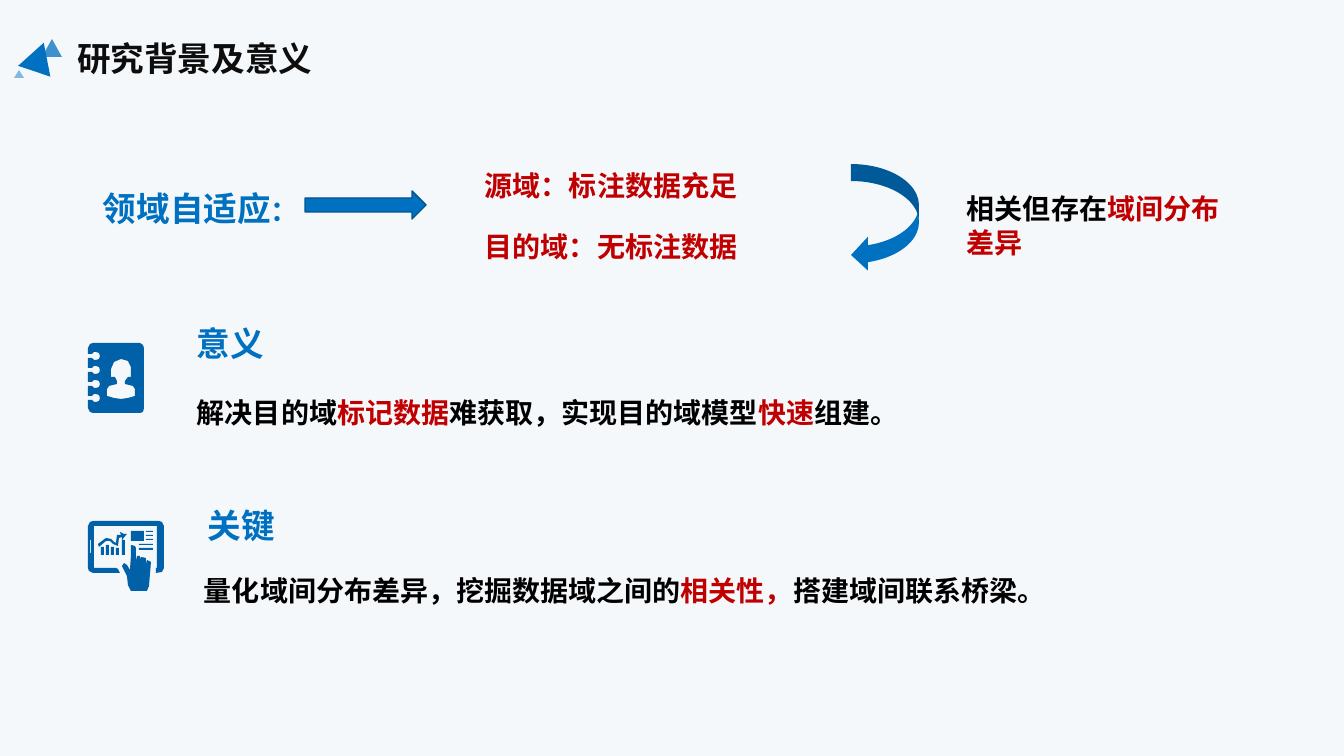
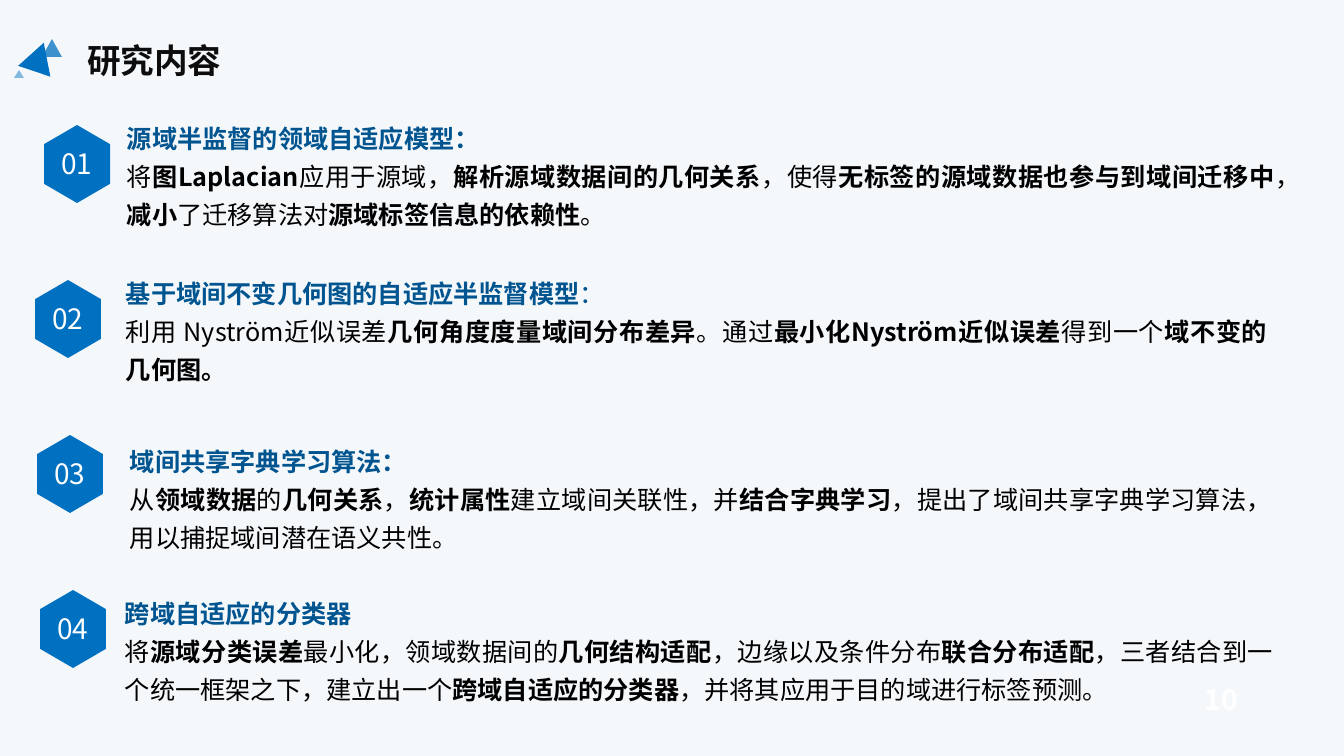
from pptx import Presentation
from pptx.dml.color import RGBColor as RGB
from pptx.enum.lang import MSO_LANGUAGE_ID as LANG
from pptx.enum.shapes import MSO_SHAPE as KIND
from pptx.enum.text import MSO_ANCHOR as ANCHOR, PP_ALIGN as ALIGN
from pptx.oxml.ns import qn
from pptx.util import Pt
from lxml import etree

PX = 914400 / 100.8
FONT = "Noto Sans CJK SC"
PAPER = RGB(0xF5, 0xF8, 0xFB)
BLUE = RGB(0x00, 0x70, 0xC0)
NAVY = RGB(0x00, 0x54, 0x90)
EDGE = RGB(0x00, 0x53, 0x8E)
ICON = RGB(0x00, 0x60, 0xA8)
RED = RGB(0xC0, 0x00, 0x00)
INK = RGB(0x0D, 0x0D, 0x0D)
BLACK = RGB(0x00, 0x00, 0x00)
WHITE = RGB(0xFF, 0xFF, 0xFF)


def text(box, words, size=20, color=BLACK, bold=True, align=ALIGN.LEFT,
         lead=1.0, gap=0, indent=0, wrap=True, em=None):
    """Add a paragraph; the parts between asterisks take the format em."""
    frame = box.text_frame
    frame.word_wrap = wrap
    para = frame.add_paragraph() if frame.text else frame.paragraphs[0]
    para.alignment, para.line_spacing = align, lead
    para.space_before = Pt(gap)
    if indent:
        para._p.get_or_add_pPr().set("indent", str(round(indent * PX)))
    base = {"size": size, "color": color, "bold": bold}
    for i, part in enumerate(words.split("*")):
        if not part:
            continue
        look = {**base, **(em or {})} if i % 2 else base
        run = para.add_run()
        run.text = part
        font = run.font
        font.size, font.bold, font.name = Pt(look["size"]), look["bold"], FONT
        font.color.rgb = look["color"]
        font.language_id = LANG.SIMPLIFIED_CHINESE
        etree.SubElement(run._r.rPr, qn("a:ea")).set("typeface", FONT)


def draw(slide, kind, at, fill=BLUE):
    """Add a flat preset shape, or a text box when kind is None."""
    at = [round(v * PX) for v in at]
    if kind is None:
        return slide.shapes.add_textbox(*at)
    item = slide.shapes.add_shape(kind, *at)
    item.shadow.inherit = False
    item.fill.solid()
    item.fill.fore_color.rgb = fill
    item.line.fill.background()
    return item


deck = Presentation()
deck.slide_width, deck.slide_height = round(1344 * PX), round(756 * PX)
back = deck.slide_master.background.fill
back.solid()
back.fore_color.rgb = PAPER

# Title and triangle mark on each slide
marks = [((42, 39, 20, 18), 0, 75), ((22, 42, 34, 30), 18.5, 100),
         ((14, 70, 10, 8), 0, 47)]
slides = []
for name, x, y in [("研究背景及意义", 67, 33), ("研究内容", 77, 35)]:
    slide = deck.slides.add_slide(deck.slide_layouts[5])
    slides.append(slide)
    title = slide.shapes.title
    title.left, title.top, title.width, title.height = (
        round(v * PX) for v in (x, y, 333, 50))
    title.text_frame.vertical_anchor = ANCHOR.TOP
    text(title, name, size=24, color=INK)
    for at, turn, alpha in marks:
        mark = draw(slide, KIND.ISOSCELES_TRIANGLE, at)
        mark.rotation = turn
        if alpha < 100:
            tone = mark._element.spPr.find(".//" + qn("a:srgbClr"))
            etree.SubElement(tone, qn("a:alpha")).set("val", str(alpha * 1000))
first, second = slides

# Slide 1: domains and the arrows between them
pair = draw(first, None, (425, 155, 502, 112))
text(pair, "源域：标注数据充足", color=RED, lead=1.25, indent=50)
text(pair, "目的域：无标注数据", color=RED, lead=1.25, indent=50, gap=14)
arrow = draw(first, KIND.RIGHT_ARROW, (305, 191, 121, 28))
arrow.line.color.rgb = EDGE
arrow.line.width = Pt(1)
draw(first, KIND.CURVED_LEFT_ARROW, (851, 164, 68, 108))
note = draw(first, None, (957, 187, 276, 78))
text(note, "相关但存在*域间分布差异*", em={"color": RED})

# Slide 1: blue headings
heads = [("领域自适应*：*", (93, 183, 220, 50), ALIGN.LEFT),
         ("意义", (170, 318, 104, 50), ALIGN.RIGHT),
         ("关键", (181, 500, 104, 50), ALIGN.RIGHT)]
for words, at, side in heads:
    text(draw(first, None, at), words, size=24, color=BLUE, align=side,
         wrap=False, em={"size": 20})

# Slide 1: statements
facts = [("解决目的域*标记数据*难获取，实现目的域模型*快速*组建。",
          (137, 382, 820, 48)),
         ("量化域间分布差异，挖掘数据域之间的*相关性，*搭建域间联系桥梁。",
          (144, 560, 917, 48))]
for words, at in facts:
    text(draw(first, None, at), words, lead=1.25, indent=50, em={"color": RED})

# Notebook icon: body with ring holes, then the person cut out
book = [(2, 1), (5, 0), (52, 0), (55, 2), (56, 5), (56, 65), (55, 69),
        (52, 70), (5, 70), (2, 69), (0, 65)]
for y in range(55, 0, -14):
    book += [(0, y + 2), (4, y + 2), (6, y + 4), (8, y + 4), (11, y + 3),
             (12, y), (11, y - 3), (8, y - 4), (6, y - 4), (4, y - 2),
             (0, y - 2)]
book.append((0, 5))
man = [(40, 34), (43, 34), (43, 24), (40, 18), (33, 16), (26, 19), (23, 26),
       (23, 34), (27, 34), (29, 38), (29, 41), (21, 43), (19, 46), (19, 53),
       (26, 55), (33, 56), (40, 55), (47, 53), (47, 46), (45, 43), (37, 41),
       (37, 38)]

# Tablet icon: frame, trend line, hand and small bars
frame = [(2, 1), (5, 0), (71, 0), (74, 1), (76, 5), (76, 47), (74, 51),
         (68, 52), (68, 47), (69, 47), (69, 5), (6, 5), (6, 47), (28, 47),
         (30, 48), (32, 52), (5, 52), (1, 50), (0, 47), (0, 5)]
trend = [(10, 23), (11, 26), (18, 20), (22, 20), (25, 23), (30, 25), (31, 17),
         (34, 16), (34, 19), (39, 13), (36, 13), (32, 11), (33, 14), (29, 14),
         (28, 22), (26, 21), (23, 18), (18, 17)]
hand = [(48, 40), (48, 27), (47, 25), (43, 24), (43, 34), (42, 49), (39, 44),
        (36, 42), (34, 45), (39, 55), (40, 64), (43, 70), (59, 70), (61, 65),
        (63, 41), (59, 39), (58, 43), (58, 37), (53, 36), (52, 38), (52, 35),
        (49, 35)]
bars = [(51, 27, 14, 2), (51, 23, 14, 1), (43, 10, 13, 10), (2, 19, 1, 13)]
bars += [(58, y, 7, 1) for y in (10, 14, 18)]
bars += [(x, y, 3, 34 - y)
         for x, y in [(13, 26), (18, 24), (23, 26), (28, 27), (34, 19)]]
pad = [frame, trend, hand]
pad += [[(x, y), (x + w, y), (x + w, y + h), (x, y + h)]
        for x, y, w, h in bars]

for x, y, rings in [(88, 343, [book, man]), (88, 521, pad)]:
    pen = None
    for ring in rings:
        if pen is None:
            pen = first.shapes.build_freeform(*ring[0], scale=PX)
        else:
            pen.move_to(*ring[0])
        pen.add_line_segments(ring[1:], close=True)
    icon = pen.convert_to_shape(round(x * PX), round(y * PX))
    icon.shadow.inherit = False
    icon.fill.solid()
    icon.fill.fore_color.rgb = ICON
    icon.line.fill.background()

# Slide 2: four numbered topics, (hexagon centre, text corner, width)
topics = [
    (77, 117, 111, 1168, "源域半监督的领域自适应模型：",
     "将*图Laplacian*应用于源域，*解析源域数据间的几何关系*，使得"
     "*无标签的源域数据也参与到域间迁移中*，*减小*了迁移算法对"
     "*源域标签信息的依赖性*。"),
    (68, 116, 266, 1161, "基于域间不变几何图的自适应半监督模型*：*",
     "利用 Nyström近似误差*几何角度度量域间分布差异*。通过"
     "*最小化Nyström近似误差*得到一个*域不变的几何图。*"),
    (70, 120, 434, 1162, "域间共享字典学习算法：",
     "从*领域数据*的*几何关系*，*统计属性*建立域间关联性，并"
     "*结合字典学习*，提出了域间共享字典学习算法，用以捕捉域间潜在语义共性。"),
    (73, 115, 586, 1168, "跨域自适应的分类器",
     "将*源域分类误差*最小化，领域数据间的*几何结构适配*，边缘以及条件分布"
     "*联合分布适配*，三者结合到一个统一框架之下，建立出一个"
     "*跨域自适应的分类器*，并将其应用于目的域进行标签预测。"),
]
for i, (mid, x, y, wide, head, body) in enumerate(topics):
    row = 164 + 155 * i
    hexa = draw(second, KIND.HEXAGON, (mid - 39, row - 33, 78, 66))
    hexa.rotation = 90
    hexa.adjustments[0] = 0.29
    label = draw(second, None, (mid - 31, row - 22, 62, 44))
    text(label, f"{i + 1:02}", color=WHITE, bold=False, align=ALIGN.CENTER)
    box = draw(second, None, (x, y, wide, 121))
    text(box, head, size=18, color=NAVY, align=ALIGN.JUSTIFY, lead=1.25,
         em={"bold": False})
    text(box, body, size=18, bold=False, align=ALIGN.JUSTIFY, lead=1.25,
         em={"bold": True})

# Slide 2: page number
text(draw(second, None, (1180, 678, 68, 44)), "10", color=WHITE,
     align=ALIGN.RIGHT)

deck.save("out.pptx")
